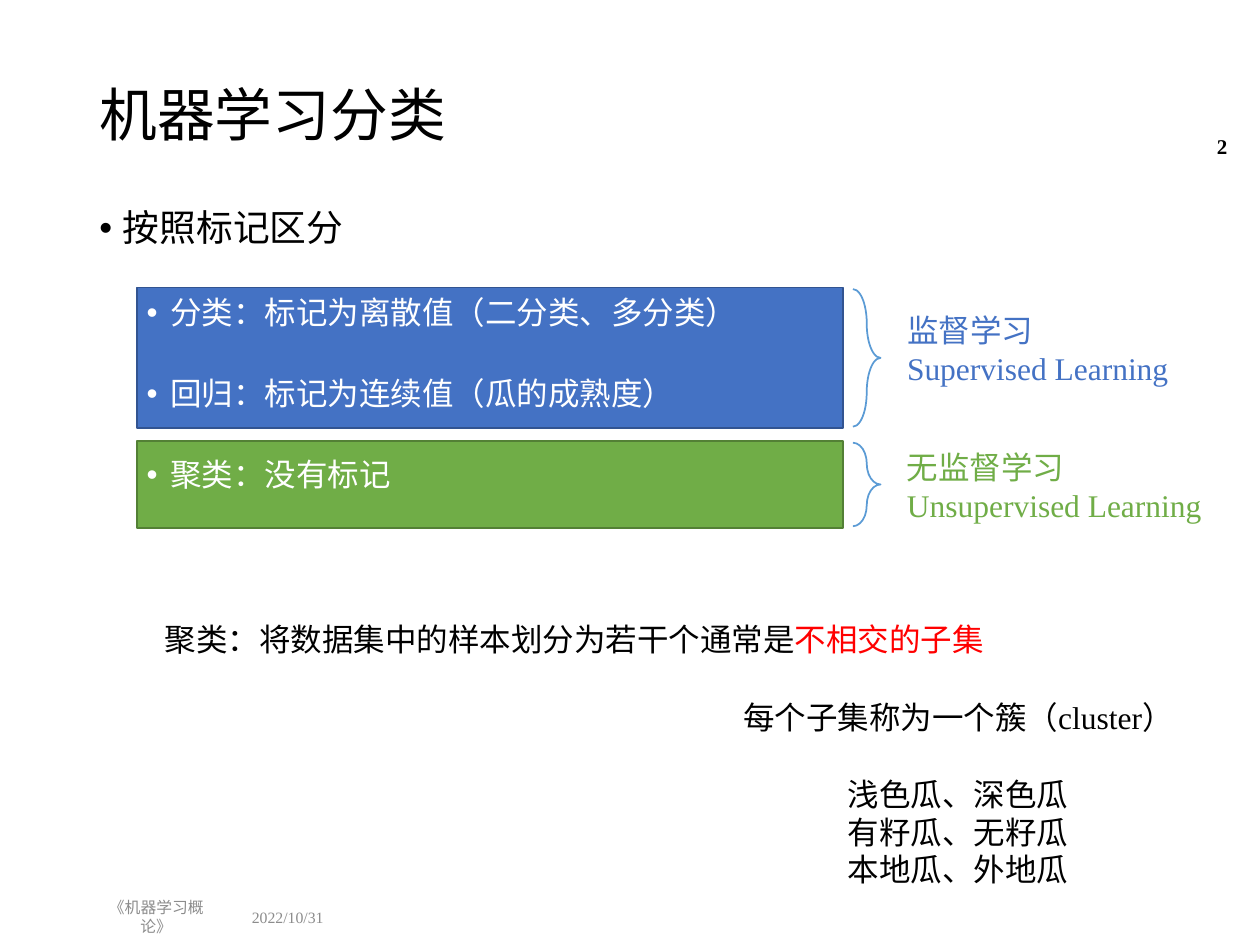
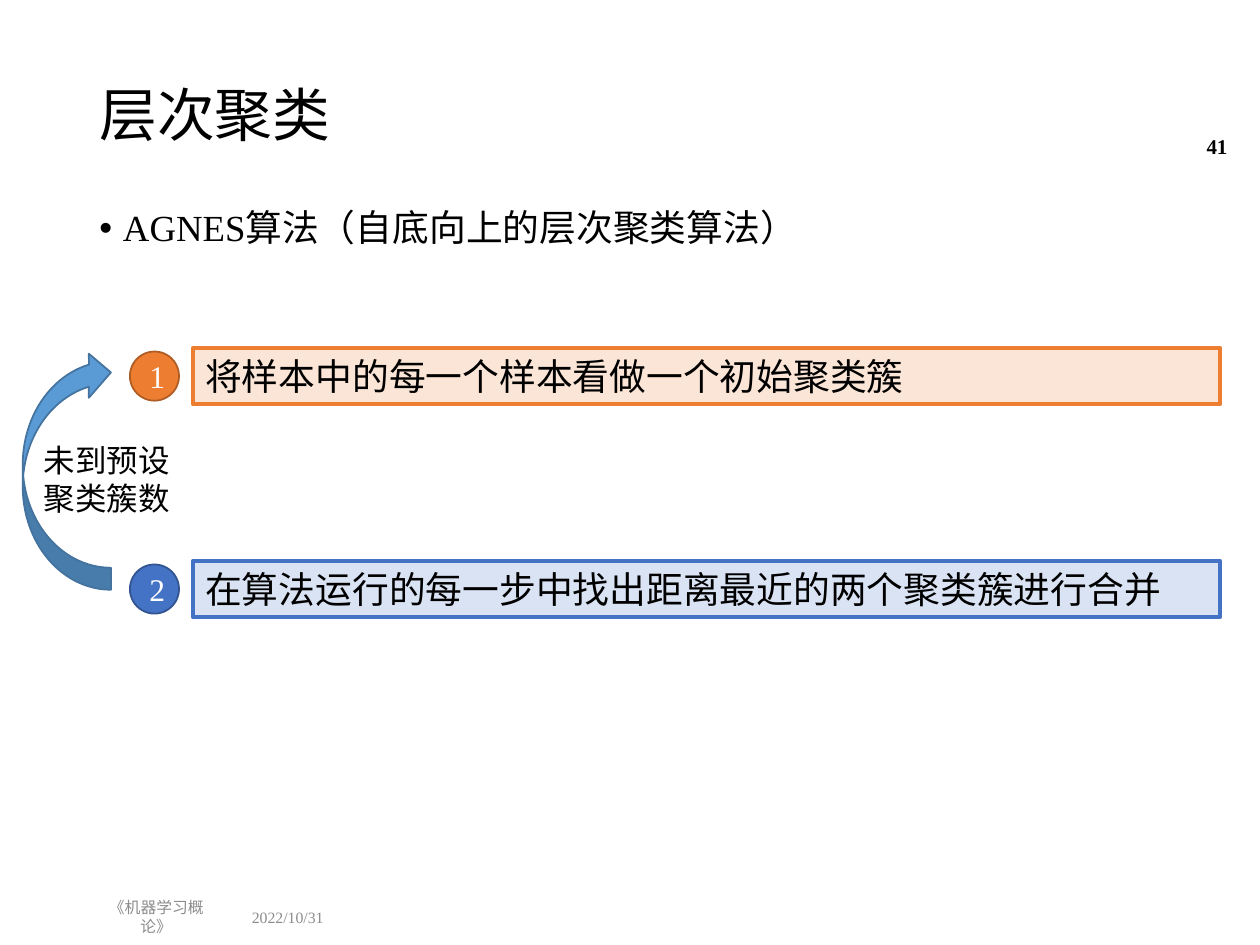
from lxml.etree import SubElement
from pptx import Presentation
from pptx.dml.color import RGBColor
from pptx.enum.shapes import MSO_SHAPE as Preset
from pptx.enum.text import MSO_ANCHOR as Anchor, PP_ALIGN as Align
from pptx.oxml.ns import qn
from pptx.util import Pt

FONT = "Times New Roman"
BLACK = RGBColor(0x00, 0x00, 0x00)
WHITE = RGBColor(0xFF, 0xFF, 0xFF)
RED = RGBColor(0xFF, 0x00, 0x00)
GREY = RGBColor(0x8C, 0x8C, 0x8C)
BLUE = RGBColor(0x44, 0x72, 0xC4)
DARK_BLUE = RGBColor(0x32, 0x54, 0x91)
PALE_BLUE = RGBColor(0xDA, 0xE3, 0xF3)
GREEN = RGBColor(0x70, 0xAD, 0x47)
DARK_GREEN = RGBColor(0x53, 0x80, 0x35)
ORANGE = RGBColor(0xED, 0x7D, 0x31)
DARK_ORANGE = RGBColor(0xAF, 0x5C, 0x24)
PALE_ORANGE = RGBColor(0xFB, 0xE5, 0xD6)
SKY = RGBColor(0x5B, 0x9B, 0xD5)
DARK_SKY = RGBColor(0x43, 0x73, 0x9E)

COURSE = "《机器学习概论》"
DATE = "2022/10/31"

TASKS = [
    "分类：标记为离散值（二分类、多分类）",
    "回归：标记为连续值（瓜的成熟度）",
    "聚类：没有标记",
]
LEARNING_KINDS = [
    dict(names=["监督学习", "Supervised Learning"], fill=BLUE, line=DARK_BLUE,
         top=164.2, height=80.6, label_top=174.2, label_width=167),
    dict(names=["无监督学习", "Unsupervised Learning"], fill=GREEN, line=DARK_GREEN,
         top=252, height=49.7, label_top=252.7, label_width=188),
]
DEFINITION = [("聚类：将数据集中的样本划分为若干个通常是", BLACK), ("不相交的子集", RED)]
CLUSTER_NAME = "每个子集称为一个簇（cluster）"
CLUSTER_EXAMPLES = ["浅色瓜、深色瓜", "有籽瓜、无籽瓜", "本地瓜、外地瓜"]

STEPS = [
    ("将样本中的每一个样本看做一个初始聚类簇", ORANGE, DARK_ORANGE, PALE_ORANGE),
    ("在算法运行的每一步中找出距离最近的两个聚类簇进行合并", BLUE, DARK_BLUE, PALE_BLUE),
]
LOOP_CONDITION = "未到预设聚类簇数"

LEFT = 49.7
CONTENT_WIDTH = 620.6
FOOTER_TOP = 513.4
FOOTER_HEIGHT = 20.9
BAND_LEFT, BAND_WIDTH = 78.5, 403.2
BRACE_LEFT, BRACE_WIDTH, BRACE_INSET = 487.4, 15.8, 1
LABEL_LEFT = 511.2
STEP_LEFT, STEP_TOP, STEP_WIDTH, STEP_HEIGHT, STEP_PITCH = 110.2, 198.7, 586.8, 32.4, 121.7
BADGE_LEFT, BADGE_SIZE = 74.2, 28.1


def add_text(frame, text, size=18, color=BLACK, bold=False, align=Align.LEFT,
             line_spacing=None, space_before=0, bullet_indent=None):
    paragraph = frame.paragraphs[0]
    if paragraph.runs:
        paragraph = frame.add_paragraph()
        paragraph.space_before = Pt(space_before)
    paragraph.alignment = align
    if line_spacing:
        paragraph.line_spacing = line_spacing
    if bullet_indent:
        properties = paragraph._p.get_or_add_pPr()
        properties.set("marL", str(Pt(bullet_indent)))
        properties.set("indent", str(-Pt(13.5)))
        SubElement(properties, qn("a:buFont"), typeface="Arial")
        SubElement(properties, qn("a:buChar"), char="•")
    runs = [(text, color)] if isinstance(text, str) else text
    for words, run_color in runs:
        run = paragraph.add_run()
        run.text = words
        run.font.name = FONT
        run.font.size = Pt(size)
        run.font.bold = bold
        run.font.color.rgb = run_color


def add_box(slide, left, top, width, height, lines=(), anchor=Anchor.TOP, **text_format):
    box = slide.shapes.add_textbox(Pt(left), Pt(top), Pt(width), Pt(height))
    frame = box.text_frame
    frame.word_wrap = True
    frame.vertical_anchor = anchor
    for line in lines:
        add_text(frame, line, **text_format)
    return frame


def add_preset(slide, preset, left, top, width, height, fill, line, line_width=1):
    shape = slide.shapes.add_shape(preset, Pt(left), Pt(top), Pt(width), Pt(height))
    shape.shadow.inherit = False
    if fill is None:
        shape.fill.background()
    else:
        shape.fill.solid()
        shape.fill.fore_color.rgb = fill
    shape.line.color.rgb = line
    shape.line.width = Pt(line_width)
    return shape


def add_slide(presentation, title, number):
    slide = presentation.slides.add_slide(presentation.slide_layouts[6])
    middle = Anchor.MIDDLE
    add_box(slide, LEFT, 28.8, CONTENT_WIDTH, 77, [title], middle, size=33, line_spacing=0.9)
    add_box(slide, 136.8, FOOTER_TOP, 65.5, FOOTER_HEIGHT, [DATE], middle, size=9, color=GREY)
    add_box(slide, LEFT, FOOTER_TOP, 79.2, FOOTER_HEIGHT, [COURSE], middle,
            size=9, color=GREY, align=Align.CENTER)
    add_box(slide, 658.8, 69.1, 49.7, 28.8, [number], middle,
            size=12, bold=True, align=Align.RIGHT)
    return slide


def add_body(slide, heading):
    return add_box(slide, LEFT, 116.6, CONTENT_WIDTH, 388, [heading],
                   size=21, line_spacing=0.9, bullet_indent=13.5)


def build_learning_kinds(presentation):
    slide = add_slide(presentation, "机器学习分类", "2")
    for kind in LEARNING_KINDS:
        top, height = kind["top"], kind["height"]
        add_preset(slide, Preset.RECTANGLE, BAND_LEFT, top, BAND_WIDTH, height,
                   kind["fill"], kind["line"])
        brace = add_preset(slide, Preset.RIGHT_BRACE, BRACE_LEFT, top + BRACE_INSET,
                           BRACE_WIDTH, height - 2 * BRACE_INSET, None, SKY)
        brace.adjustments[0] = 1.242
        add_box(slide, LABEL_LEFT, kind["label_top"], kind["label_width"], 51.1,
                kind["names"], color=kind["fill"])
    body = add_body(slide, "按照标记区分")
    for task in TASKS:
        add_text(body, task, color=WHITE, line_spacing=0.9, space_before=27, bullet_indent=40.5)
    add_box(slide, 87.1, 350.6, 508.3, 28.8, [DEFINITION])
    add_box(slide, 417.6, 395.3, 262.8, 28.8, [CLUSTER_NAME])
    add_box(slide, 477.4, 439.2, 181.4, 72.7, CLUSTER_EXAMPLES)


def build_hierarchical_clustering(presentation):
    slide = add_slide(presentation, "层次聚类", "41")
    add_body(slide, "AGNES算法（自底向上的层次聚类算法）")
    for index, (text, color, dark, pale) in enumerate(STEPS):
        top = STEP_TOP + index * STEP_PITCH
        step = add_preset(slide, Preset.RECTANGLE, STEP_LEFT, top, STEP_WIDTH, STEP_HEIGHT,
                          pale, color, 2.25)
        step.text_frame.word_wrap = True
        step.text_frame.vertical_anchor = Anchor.TOP
        add_text(step.text_frame, text, size=21)
        badge = add_preset(slide, Preset.OVAL, BADGE_LEFT, top + (STEP_HEIGHT - BADGE_SIZE) / 2,
                           BADGE_SIZE, BADGE_SIZE, color, dark)
        add_text(badge.text_frame, str(index + 1), color=WHITE, align=Align.CENTER)
    add_box(slide, 18, 248.4, 90.7, 51.1, [LOOP_CONDITION])
    loop_arrow = add_preset(slide, Preset.CURVED_DOWN_ARROW, -30.2, 243.4, 136.8, 50.4,
                            SKY, DARK_SKY)
    loop_arrow.rotation = 270


def main():
    presentation = Presentation()
    presentation.slide_width = Pt(720)
    presentation.slide_height = Pt(540)
    build_learning_kinds(presentation)
    build_hierarchical_clustering(presentation)
    presentation.save("out.pptx")


if __name__ == "__main__":
    main()
